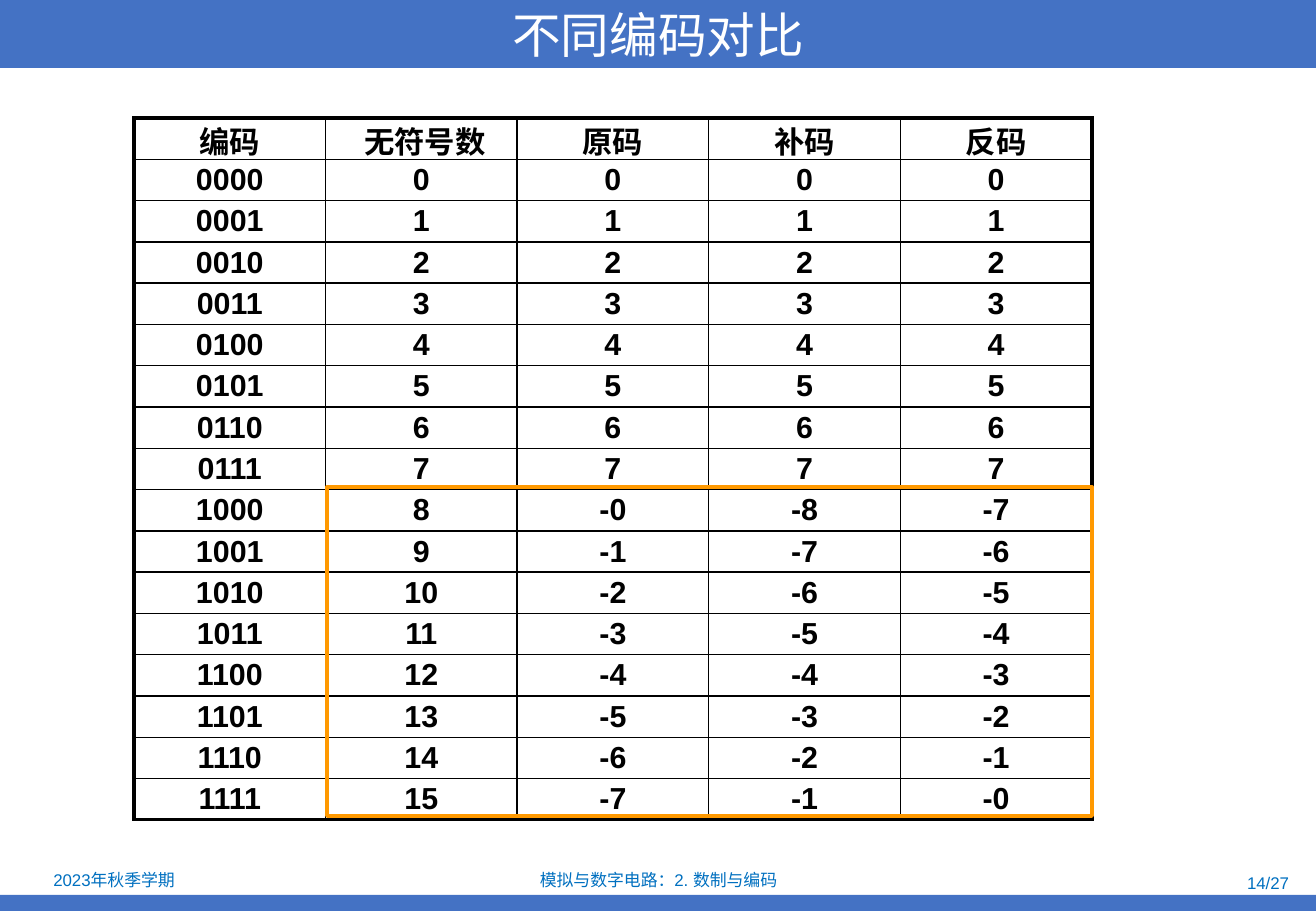
from dataclasses import dataclass

from lxml.etree import SubElement
from pptx import Presentation
from pptx.dml.color import RGBColor
from pptx.enum.shapes import MSO_SHAPE as Shape
from pptx.enum.text import MSO_ANCHOR as Anchor, PP_ALIGN as Align
from pptx.oxml import parse_xml
from pptx.oxml.ns import nsdecls, qn
from pptx.util import Emu, Pt

EMU_PER_PX = 914400 / 121.5


def px(length):
    return Emu(round(length * EMU_PER_PX))


@dataclass(frozen=True)
class Theme:
    bar: str = "4472C4"
    title: str = "FFFFFF"
    footer: str = "0070C0"
    ink: str = "000000"
    highlight: str = "FF9900"
    latin_font: str = "Arial"
    chinese_font: str = "Noto Sans CJK SC"
    title_size: float = 28.8
    table_size: float = 18
    footer_size: float = 10
    thin: float = 1
    thick: float = 2.25


class SlideBuilder:
    def __init__(self, slide, theme):
        self.slide = slide
        self.theme = theme

    def set_text(self, text_frame, text, size, color, font, align, bold=False):
        text_frame.text = text
        text_frame.word_wrap = True
        paragraph = text_frame.paragraphs[0]
        paragraph.alignment = align
        for run in paragraph.runs:
            run.font.name = font
            run.font.size = Pt(size)
            run.font.bold = bold
            run.font.color.rgb = RGBColor.from_string(color)
            east_asian = SubElement(run.font._element, qn("a:ea"))
            east_asian.set("typeface", self.theme.chinese_font)

    def rectangle(self, left, top, width, height, fill=None, line=None):
        shape = self.slide.shapes.add_shape(
            Shape.RECTANGLE, px(left), px(top), px(width), px(height))
        shape.shadow.inherit = False
        if fill:
            shape.fill.solid()
            shape.fill.fore_color.rgb = RGBColor.from_string(fill)
        else:
            shape.fill.background()
        if line:
            shape.line.color.rgb = RGBColor.from_string(line)
            shape.line.width = Pt(self.theme.thick)
        else:
            shape.line.fill.background()
        return shape

    def title(self, text, width, height):
        shape = self.rectangle(0, 0, width, height, fill=self.theme.bar)
        shape.text_frame.vertical_anchor = Anchor.MIDDLE
        self.set_text(shape.text_frame, text, self.theme.title_size,
                      self.theme.title, self.theme.chinese_font, Align.CENTER)

    def footer(self, text, left, top, width, height, align=Align.CENTER):
        box = self.slide.shapes.add_textbox(
            px(left), px(top), px(width), px(height))
        box.text_frame.vertical_anchor = Anchor.MIDDLE
        self.set_text(box.text_frame, text, self.theme.footer_size,
                      self.theme.footer, self.theme.latin_font, align)

    def borders(self, cell, outer_sides):
        properties = cell._tc.get_or_add_tcPr()
        for position, side in enumerate("LRTB"):
            weight = self.theme.thick if side in outer_sides else self.theme.thin
            properties.insert(position, parse_xml(
                f'<a:ln{side} {nsdecls("a")} w="{Pt(weight)}"><a:solidFill>'
                f'<a:srgbClr val="{self.theme.ink}"/></a:solidFill></a:ln{side}>'))

    def table(self, rows, left, top, width, height):
        row_count, column_count = len(rows), len(rows[0])
        table = self.slide.shapes.add_table(
            row_count, column_count,
            px(left), px(top), px(width), px(height)).table
        table.first_row = table.horz_banding = False
        for column in table.columns:
            column.width = px(width / column_count)
        for row in table.rows:
            row.height = px(height / row_count)
        for y, values in enumerate(rows):
            for x, value in enumerate(values):
                cell = table.cell(y, x)
                cell.margin_left = cell.margin_right = 0
                cell.margin_top = cell.margin_bottom = 0
                cell.vertical_anchor = Anchor.MIDDLE
                cell.fill.background()
                edges = {"L": x == 0, "R": x == column_count - 1,
                         "T": y == 0, "B": y == row_count - 1}
                self.borders(cell, [side for side in edges if edges[side]])
                self.set_text(cell.text_frame, value, self.theme.table_size,
                              self.theme.ink, self.theme.latin_font,
                              Align.CENTER, bold=True)


def code_row(code):
    if code < 8:
        values = [str(code)] * 4
    else:
        values = [str(code), f"-{code - 8}", f"-{16 - code}", f"-{15 - code}"]
    return [f"{code:04b}"] + values


def main():
    slide_width, slide_height = 1316, 911
    presentation = Presentation()
    presentation.slide_width = px(slide_width)
    presentation.slide_height = px(slide_height)
    slide = presentation.slides.add_slide(presentation.slide_layouts[6])
    theme = Theme()
    builder = SlideBuilder(slide, theme)

    builder.rectangle(0, 895, slide_width, 16, fill=theme.bar)
    builder.footer("2023年秋季学期", 2, 866, 224, 28)
    builder.title("不同编码对比", slide_width, 68)
    builder.footer("模拟与数字电路：2. 数制与编码", 450, 867, 417, 26)
    builder.footer("14/27", 994, 870, 307, 26, Align.RIGHT)

    header = ["编码", " 无符号数", "原码", "补码", "反码"]
    rows = [header] + [code_row(code) for code in range(16)]
    builder.table(rows, 134, 118, 958, 702)
    builder.rectangle(327, 487, 765, 329, line=theme.highlight)

    presentation.save("out.pptx")


if __name__ == "__main__":
    main()
